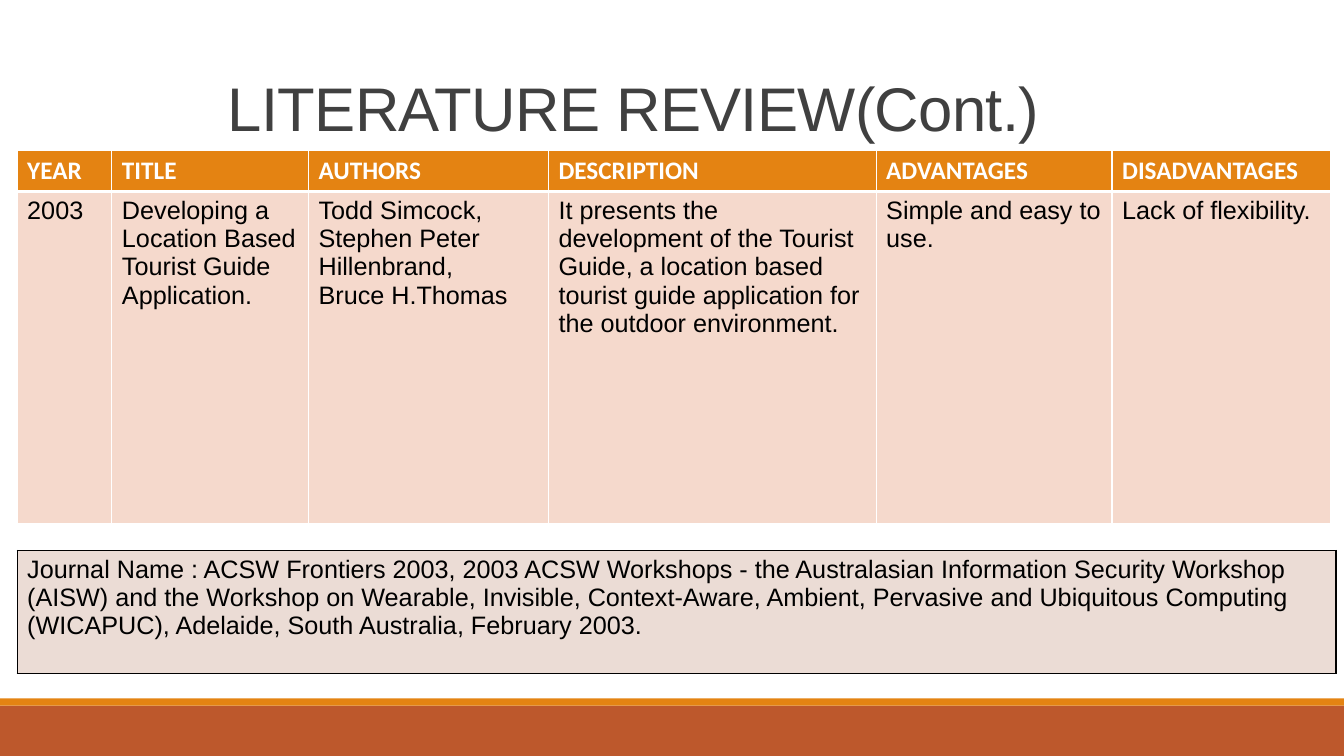
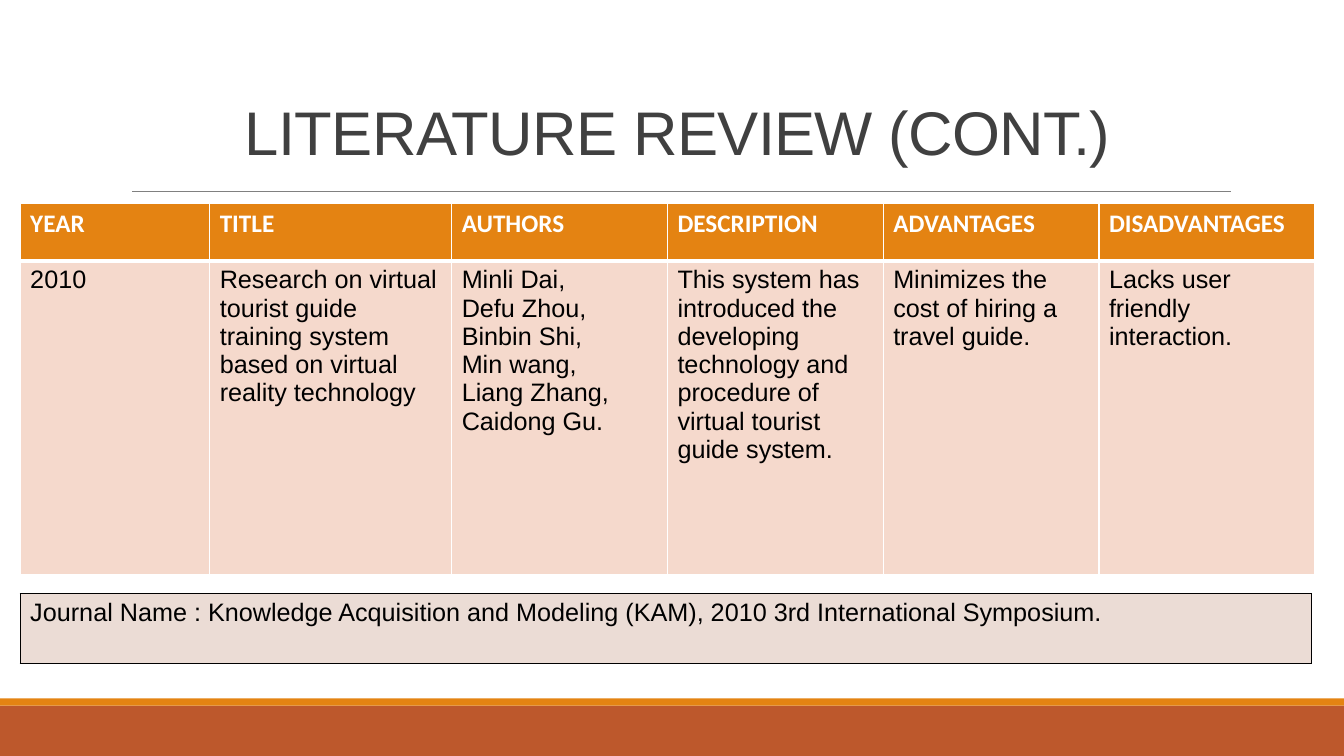
from pptx import Presentation
from pptx import util as u
from pptx.dml.color import RGBColor
from pptx.enum import shapes, text
from pptx.oxml import parse_xml
from pptx.oxml.ns import nsdecls, qn

COLORS = {
    "band": "BD582C",
    "accent": "E48312",
    "rule": "808080",
    "title": "404040",
    "body": "F5D9CC",
    "journal": "EBDCD5",
    "white": "FFFFFF",
    "black": "000000",
}
HEADINGS = ["YEAR", "TITLE", "AUTHORS", "DESCRIPTION", "ADVANTAGES", "DISADVANTAGES"]
TITLE_FONT = {"name": "Arial", "size": u.Pt(44), "bold": False}
HEADING_FONT = {"name": "Calibri", "size": u.Pt(18), "bold": True}
BODY_FONT = {"name": "Arial", "size": u.Pt(18), "bold": False}

HEADING_CELL = {"font": HEADING_FONT, "ink": "white", "fill": "accent",
                "border": "white", "bottom": 3}
BODY_CELL = {"font": BODY_FONT, "ink": "black", "fill": "body",
             "border": "white", "bottom": 1}
JOURNAL_CELL = {"font": BODY_FONT, "ink": "black", "fill": "journal",
                "border": "black", "bottom": 1}

REVIEWS = [
    {
        "title": "LITERATURE REVIEW(Cont.)",
        "title_box": (2.16, 0.31, 10.04, 1.17),
        "origin": (0.17, 1.49),
        "columns": [0.94, 1.95, 2.38, 3.25, 2.34, 2.17],
        "rows": [0.41, 3.29],
        "entry": [
            "2003",
            "Developing a Location Based Tourist Guide Application.",
            "Todd Simcock,\nStephen Peter Hillenbrand,\nBruce H.Thomas",
            "It presents the development of the Tourist Guide, a location based "
            "tourist guide application for the outdoor environment.",
            "Simple and easy to use.",
            "Lack of flexibility.",
        ],
        "journal": "Journal Name : ACSW Frontiers 2003, 2003 ACSW Workshops - the "
                   "Australasian Information Security Workshop (AISW) and the Workshop "
                   "on Wearable, Invisible, Context-Aware, Ambient, Pervasive and "
                   "Ubiquitous Computing (WICAPUC), Adelaide, South Australia, "
                   "February 2003.",
        "journal_box": (0.17, 5.46, 13.08, 1.22),
    },
    {
        "title": "LITERATURE REVIEW (CONT.)",
        "title_box": (2.33, 0.13, 11, 1.59),
        "origin": (0.2, 2.02),
        "columns": [1.88, 2.4] + [2.14] * 4,
        "rows": [0.57, 3.11],
        "entry": [
            "2010",
            "Research on virtual tourist guide training system based on virtual "
            "reality technology",
            "Minli Dai,\nDefu Zhou,\nBinbin Shi,\nMin wang,\nLiang Zhang,\nCaidong Gu.",
            "This system has introduced the developing technology and procedure of "
            "virtual tourist guide system.",
            "Minimizes the cost of hiring a travel guide.",
            "Lacks user friendly interaction.",
        ],
        "journal": "Journal Name : Knowledge Acquisition and Modeling (KAM), "
                   "2010 3rd International Symposium.",
        "journal_box": (0.2, 5.89, 12.81, 0.69),
    },
]


def color(name):
    return RGBColor.from_string(COLORS[name])


def inches(values):
    return [u.Inches(value) for value in values]


def apply_font(font, values, ink):
    for key, value in values.items():
        setattr(font, key, value)
    font.color.rgb = color(ink)


def add_band(slide, top, height, fill):
    band = slide.shapes.add_shape(
        shapes.MSO_SHAPE.RECTANGLE, *inches((0, top, 13.33, height)))
    band.shadow.inherit = False
    band.fill.solid()
    band.fill.fore_color.rgb = color(fill)
    band.line.fill.background()
    return band


def add_rule(slide):
    rule = slide.shapes.add_connector(
        shapes.MSO_CONNECTOR.STRAIGHT, *inches((1.31, 1.9, 12.21, 1.9)))
    rule.line.color.rgb = color("rule")
    rule.line.width = u.Pt(0.5)
    rule.element.spPr.append(parse_xml(f"<a:effectLst {nsdecls('a')}/>"))
    return rule


def decorate_layout(layout, slide):
    decorations = [
        add_band(slide, 7, 0.5, "band"),
        add_band(slide, 6.93, 0.07, "accent"),
        add_rule(slide),
    ]
    for decoration in decorations:
        layout.shapes.element.append(decoration.element)


def set_title(slide, wording, box):
    title = slide.shapes.title
    for key, value in zip(("left", "top", "width", "height"), inches(box)):
        setattr(title, key, value)
    frame = title.text_frame
    frame.text = wording
    frame.vertical_anchor = text.MSO_ANCHOR.BOTTOM
    frame.auto_size = text.MSO_AUTO_SIZE.NONE
    paragraph = frame.paragraphs[0]
    paragraph.alignment = text.PP_ALIGN.LEFT
    paragraph.line_spacing = 0.85
    apply_font(paragraph.runs[0].font, TITLE_FONT, "title")
    for properties in title.element.iter(qn("a:rPr")):
        properties.set("spc", "-50")


def set_borders(cell, border, bottom):
    properties = cell._tc.get_or_add_tcPr()
    for side, points in {"L": 1, "R": 1, "T": 1, "B": bottom}.items():
        properties.append(parse_xml(
            f'<a:ln{side} {nsdecls("a")} w="{u.Pt(points)}"><a:solidFill>'
            f'<a:srgbClr val="{COLORS[border]}"/></a:solidFill></a:ln{side}>'))


def fill_cell(cell, wording, style):
    set_borders(cell, style["border"], style["bottom"])
    cell.fill.solid()
    cell.fill.fore_color.rgb = color(style["fill"])
    cell.text = wording
    for paragraph in cell.text_frame.paragraphs:
        for run in paragraph.runs:
            apply_font(run.font, style["font"], style["ink"])


def add_grid(slide, origin, columns, rows, contents, styles):
    box = inches((*origin, sum(columns), sum(rows)))
    grid = slide.shapes.add_table(len(rows), len(columns), *box).table
    grid.first_row = grid.horz_banding = False
    for column, width in zip(grid.columns, columns):
        column.width = u.Inches(width)
    for row, height, wordings, style in zip(grid.rows, rows, contents, styles):
        row.height = u.Inches(height)
        for cell, wording in zip(row.cells, wordings):
            fill_cell(cell, wording, style)


def add_review(slide, review):
    set_title(slide, review["title"], review["title_box"])
    add_grid(slide, review["origin"], review["columns"], review["rows"],
             [HEADINGS, review["entry"]], [HEADING_CELL, BODY_CELL])
    left, top, width, height = review["journal_box"]
    add_grid(slide, (left, top), [width], [height],
             [[review["journal"]]], [JOURNAL_CELL])


def main():
    deck = Presentation()
    deck.slide_width, deck.slide_height = inches((13.33, 7.5))
    layout = deck.slide_layouts[5]
    slides = [deck.slides.add_slide(layout) for review in REVIEWS]
    decorate_layout(layout, slides[0])
    for slide, review in zip(slides, REVIEWS):
        add_review(slide, review)
    deck.save("out.pptx")


if __name__ == "__main__":
    main()
